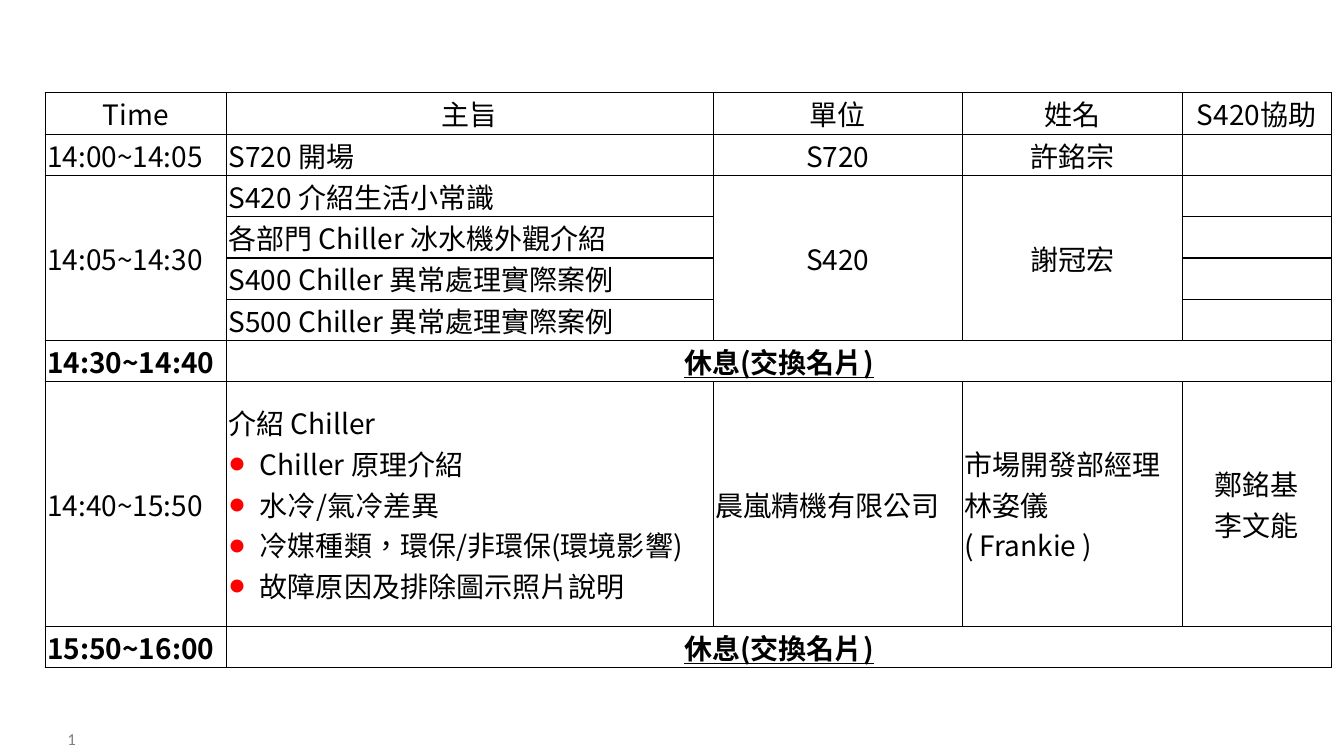
from lxml import etree
from pptx import Presentation
from pptx import util as u
from pptx.dml.color import RGBColor
from pptx.enum import text
from pptx.oxml import ns

COLORS = {"ink": "000000", "paper": "FFFFFF", "bullet": "FF0000", "page": "7F7F7F"}
CJK = "Noto Sans CJK SC"


def sub(parent, tag, **attrs):
    return etree.SubElement(parent, ns.qn(tag), attrs)


def write(tf, content, size=20, font=CJK, color="ink", center=False,
          bold=False, underline=False, bullets_from=None):
    for i, line in enumerate(content.split("\n")):
        p = tf.paragraphs[0] if i == 0 else tf.add_paragraph()
        p.alignment = text.PP_ALIGN.CENTER if center else text.PP_ALIGN.LEFT
        if bullets_from is not None and i >= bullets_from:
            pPr = p._p.get_or_add_pPr()
            pPr.set("marL", str(u.Cm(0.79)))
            pPr.set("indent", str(u.Cm(-0.79)))
            sub(sub(pPr, "a:buClr"), "a:srgbClr", val=COLORS["bullet"])
            sub(pPr, "a:buFont", typeface="Calibri")
            sub(pPr, "a:buChar", char="●")
        r = p.add_run()
        r.text = line
        r.font.size = u.Pt(size)
        r.font.name = font
        r.font.bold = bold
        r.font.underline = underline
        r.font.color.rgb = RGBColor.from_string(COLORS[color])
        rPr = r._r.get_or_add_rPr()
        rPr.set("lang", "zh-TW")
        sub(rPr, "a:ea", typeface=font)


prs = Presentation()
prs.slide_width, prs.slide_height = u.Cm(33.87), u.Cm(19.05)
s = prs.slides.add_slide(prs.slide_layouts[6])

sp = s.shapes.add_textbox(u.Cm(0), u.Cm(18.11), u.Cm(3.61), u.Cm(1.02))
sp.text_frame.word_wrap = True
sp.text_frame.vertical_anchor = text.MSO_ANCHOR.MIDDLE
write(sp.text_frame, "1", size=12, font="Calibri", color="page", center=True)

topics = "\n".join(["介紹 Chiller", "Chiller 原理介紹", "水冷/氣冷差異",
                    "冷媒種類，環保/非環保(環境影響)", "故障原因及排除圖示照片說明"])
recess = "休息(交換名片)"
agenda = [
    ["Time", "主旨", "單位", "姓名", "S420協助"],
    ["14:00~14:05", "S720 開場", "S720", "許銘宗", ""],
    ["14:05~14:30", "S420 介紹生活小常識", "S420", "謝冠宏", ""],
    ["", "各部門 Chiller 冰水機外觀介紹", "", "", ""],
    ["", "S400 Chiller 異常處理實際案例", "", "", ""],
    ["", "S500 Chiller 異常處理實際案例", "", "", ""],
    ["14:30~14:40", recess, "", "", ""],
    ["14:40~15:50", topics, "晨嵐精機有限公司",
     "市場開發部經理\n林姿儀 ( Frankie )", "鄭銘基\n李文能"],
    ["15:50~16:00", recess, "", "", ""],
]
recess_rows, talk_row = (6, 8), 7
widths = [4.57, 12.27, 6.27, 5.54, 3.76]
heights = [6.16 if row == talk_row else 1.04 for row in range(len(agenda))]

tbl = s.shapes.add_table(len(agenda), len(widths), u.Cm(1.14), u.Cm(2.34),
                         u.Cm(sum(widths)), u.Cm(sum(heights))).table
tbl.first_row = tbl.horz_banding = False
for column, width in zip(tbl.columns, widths):
    column.width = u.Cm(width)
for row, height in zip(tbl.rows, heights):
    row.height = u.Cm(height)

for i, entries in enumerate(agenda):
    for j, entry in enumerate(entries):
        cell = tbl.cell(i, j)
        cell.vertical_anchor = text.MSO_ANCHOR.MIDDLE
        cell.margin_left = cell.margin_right = u.Cm(0.05)
        cell.margin_top = cell.margin_bottom = u.Cm(0)
        for side in "LRTB":
            ln = sub(cell._tc.get_or_add_tcPr(), f"a:ln{side}", w=str(u.Pt(1)))
            sub(sub(ln, "a:solidFill"), "a:srgbClr", val=COLORS["ink"])
        cell.fill.solid()
        cell.fill.fore_color.rgb = RGBColor.from_string(COLORS["paper"])
        if entry:
            is_recess = i in recess_rows
            centered = (i == 0 or j == 4 or (is_recess and j == 1)
                        or (j in (2, 3) and i != talk_row))
            write(cell.text_frame, entry, center=centered, bold=is_recess,
                  underline=is_recess and j == 1,
                  bullets_from=1 if entry == topics else None)

for j in (0, 2, 3):
    tbl.cell(2, j).merge(tbl.cell(5, j))
for i in recess_rows:
    tbl.cell(i, 1).merge(tbl.cell(i, 4))

prs.save("out.pptx")
